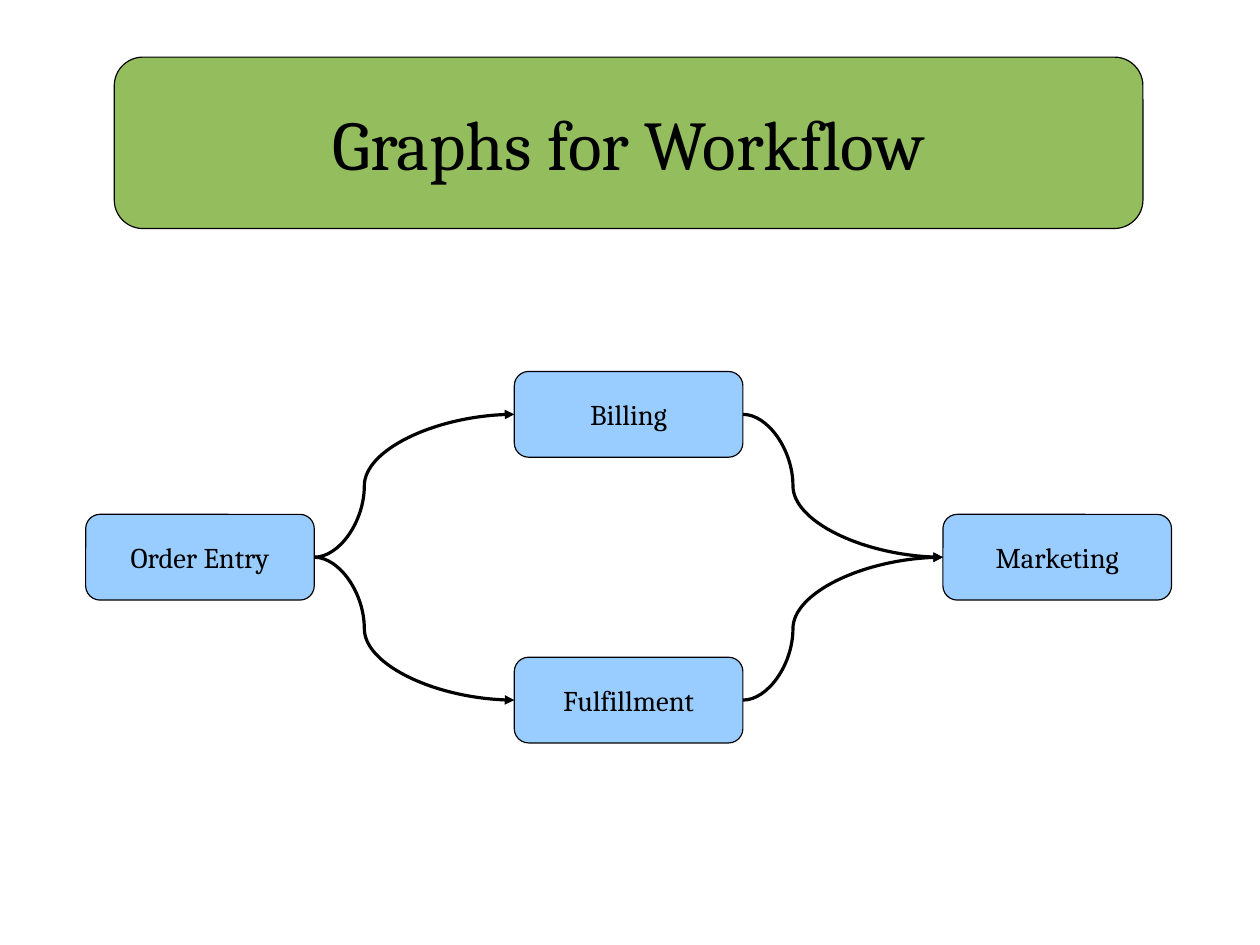
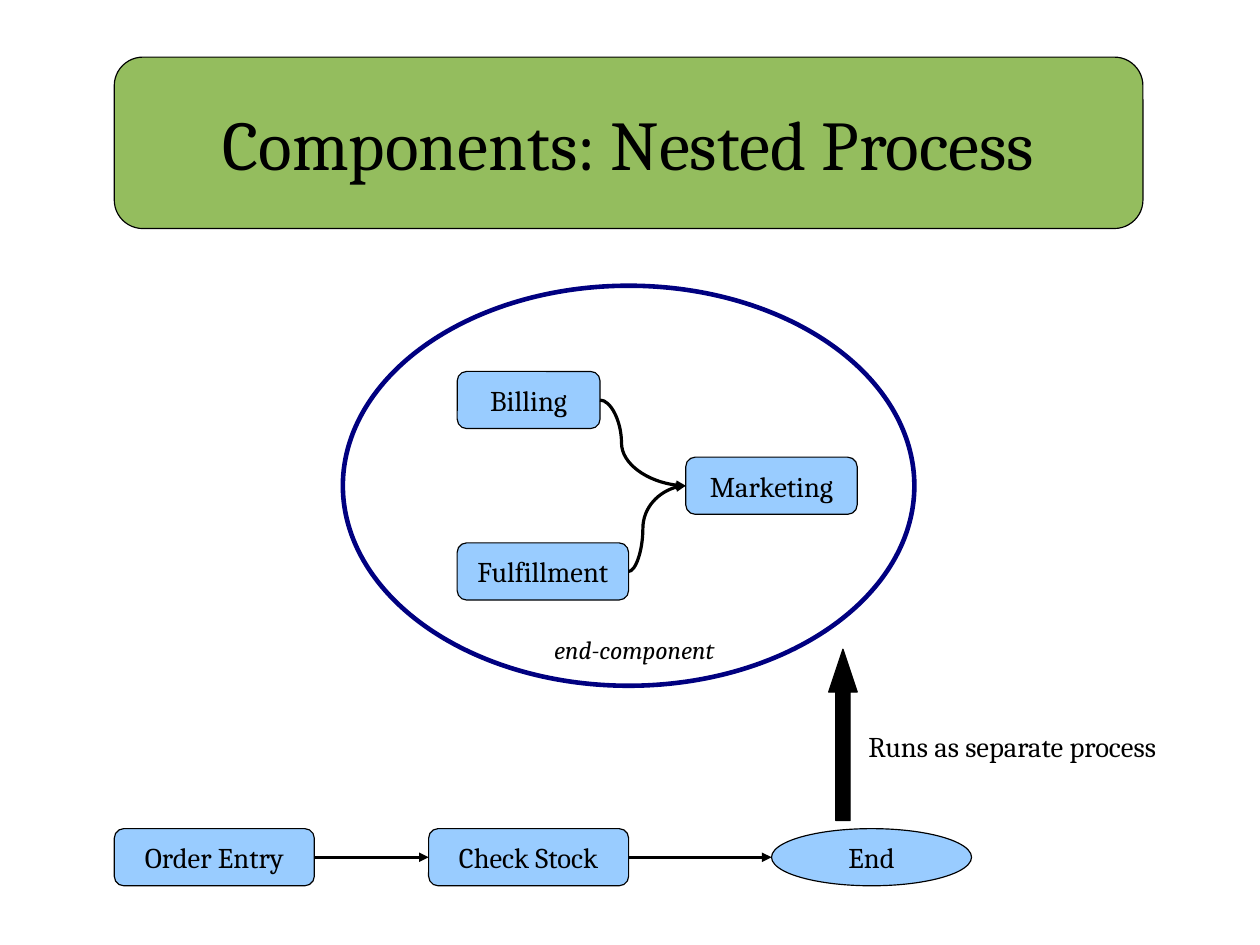
from dataclasses import dataclass
from lxml import etree
from pptx import Presentation, util as u
from pptx.dml.color import RGBColor
from pptx.enum import shapes, text
from pptx.oxml.ns import qn

KIND = shapes.MSO_SHAPE
LINK = shapes.MSO_CONNECTOR


@dataclass(frozen=True)
class Theme:
    font: str = "Cambria"
    ink: str = "000000"
    paper: str = "FFFFFF"
    band: str = "94BD5E"
    node: str = "99CCFF"
    ring: str = "000080"
    head: int = 44
    body: int = 18
    note: int = 16
    hair: int = 0
    thick: float = 2.89


T = Theme()
HEAD = (2, 1, 18, 3)


def grid(*steps):
    return [u.Cm(1.27 * n) for n in steps]


def rgb(code):
    return RGBColor.from_string(code)


def style(item, values):
    for name, value in values.items():
        setattr(item, name, value)


def write(shape, words, size=T.body, align=text.PP_ALIGN.CENTER,
          anchor=text.MSO_ANCHOR.MIDDLE, italic=False):
    frame = shape.text_frame
    frame.text = words
    style(frame, {"word_wrap": True, "vertical_anchor": anchor,
                  "auto_size": text.MSO_AUTO_SIZE.NONE})
    para = frame.paragraphs[0]
    para.alignment = align
    font = para.runs[0].font
    style(font, {"name": T.font, "size": u.Pt(size), "italic": italic})
    font.color.rgb = rgb(T.ink)


def draw(slide, kind, box, fill, line=T.ink, width=T.hair):
    shape = slide.shapes.add_shape(kind, *grid(*box))
    shape.shadow.inherit = False
    shape.fill.solid()
    shape.fill.fore_color.rgb = rgb(fill)
    shape.line.color.rgb = rgb(line)
    shape.line.width = u.Pt(width)
    return shape


def node(slide, words, box, kind=KIND.ROUNDED_RECTANGLE):
    shape = draw(slide, kind, box, T.node)
    write(shape, words)
    return shape


def label(slide, words, box, size, italic=False):
    shape = slide.shapes.add_textbox(*grid(*box))
    write(shape, words, size, text.PP_ALIGN.LEFT, text.MSO_ANCHOR.TOP, italic)


def link(slide, start, end, kind=LINK.CURVE):
    line = slide.shapes.add_connector(
        kind, start.left + start.width, start.top + start.height // 2,
        end.left, end.top + end.height // 2)
    line.line.color.rgb = rgb(T.ink)
    line.line.width = u.Pt(T.hair)
    props = line._element.spPr
    etree.SubElement(props.find(qn("a:ln")), qn("a:tailEnd"), type="triangle")
    etree.SubElement(props, qn("a:effectLst"))
    if kind == LINK.CURVE:
        bends = props.find(qn("a:prstGeom")).find(qn("a:avLst"))
        etree.SubElement(bends, qn("a:gd"), name="adj1", fmla="val 25000")
        return
    line.begin_connect(start, 3)
    if end.auto_shape_type == KIND.ROUNDED_RECTANGLE:
        line.end_connect(end, 1)


def page(deck, layout, words):
    slide = deck.slides.add_slide(layout)
    write(slide.shapes.title, words, T.head)
    return slide


def brand(layout, slide):
    band = draw(slide, KIND.ROUNDED_RECTANGLE, HEAD, T.band)
    layout.shapes._spTree.insert(2, band._element)
    left, top, width, height = grid(*HEAD)
    style(layout.placeholders[0], {"left": left, "top": top,
                                   "width": width, "height": height})


def flow(slide):
    order = node(slide, "Order Entry", (1.5, 9, 4, 1.5))
    market = node(slide, "Marketing", (16.5, 9, 4, 1.5))
    for words, top in (("Billing", 6.5), ("Fulfillment", 11.5)):
        step = node(slide, words, (9, top, 4, 1.5))
        link(slide, order, step)
        link(slide, step, market)


def nest(slide):
    draw(slide, KIND.OVAL, (6, 5, 10, 7), T.paper, T.ring, T.thick)
    market = node(slide, "Marketing", (12, 8, 3, 1))
    for words, top, width in (("Billing", 6.5, 2.5), ("Fulfillment", 9.5, 3)):
        link(slide, node(slide, words, (8, top, width, 1)), market)
    label(slide, "end-component", (9.5, 11, 3.5, 0.78), T.note, True)

    order = node(slide, "Order Entry", (2, 14.5, 3.5, 1))
    stock = node(slide, "Check Stock", (7.5, 14.5, 3.5, 1))
    end = node(slide, "End", (13.5, 14.5, 3.5, 1), KIND.OVAL)
    link(slide, order, stock, LINK.STRAIGHT)
    link(slide, stock, end, LINK.STRAIGHT)

    arrow = draw(slide, KIND.UP_ARROW, (14.5, 11.36, 0.5, 3), T.ink)
    arrow.adjustments[1] = 1.5
    label(slide, "Runs as separate process", (15, 12.66, 6.2, 0.84), T.body)


def main():
    deck = Presentation()
    style(deck, {"slide_width": u.Cm(28), "slide_height": u.Cm(21)})
    layout = deck.slide_layouts[5]
    first = page(deck, layout, "Graphs for Workflow")
    brand(layout, first)
    flow(first)
    nest(page(deck, layout, "Components: Nested Process"))
    deck.save("out.pptx")


if __name__ == "__main__":
    main()
